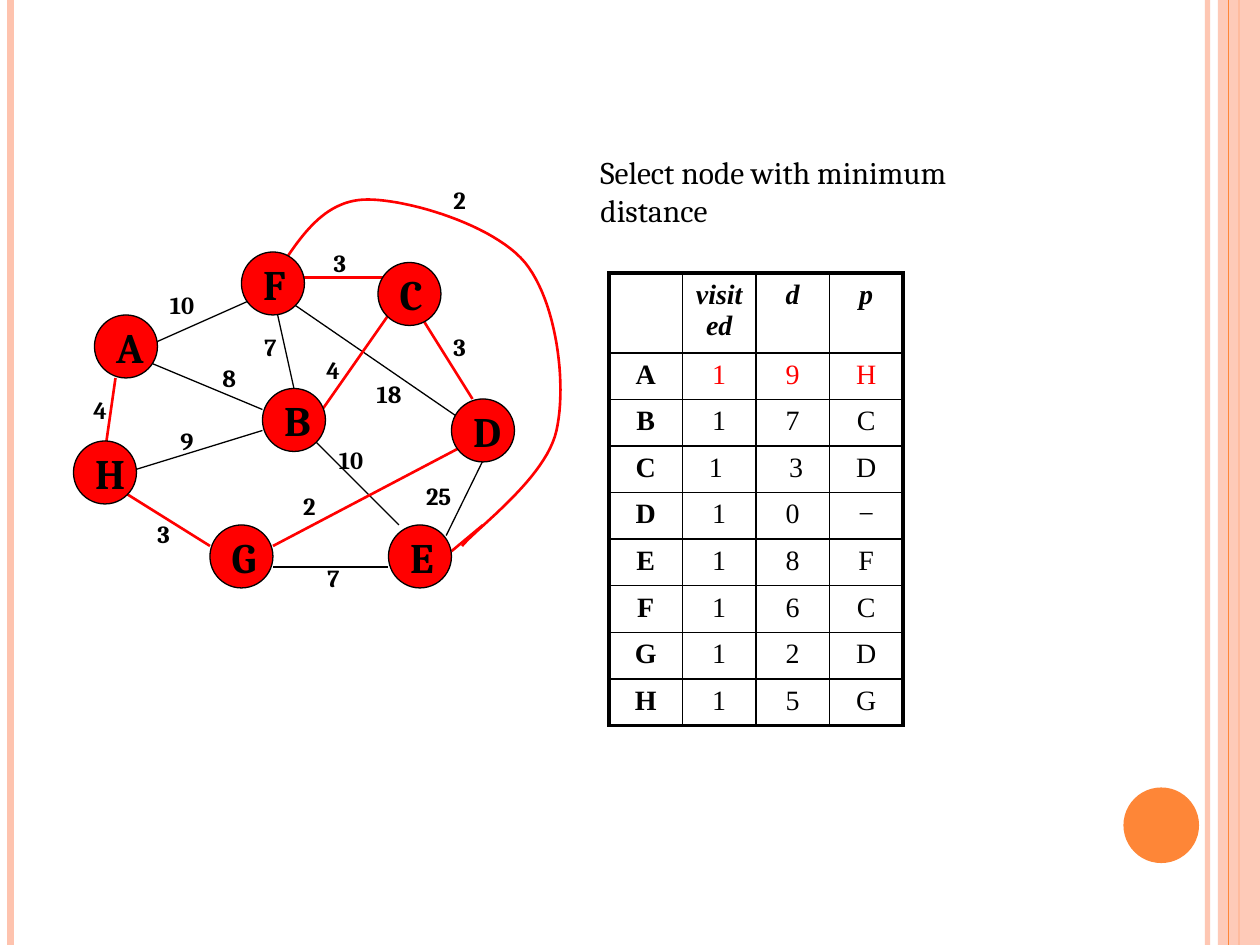
"""Build a slide showing a minimum spanning tree graph beside its table of distances."""
from lxml import etree
from pptx import Presentation
from pptx import util as u
from pptx.dml.color import RGBColor
from pptx.enum import shapes, text
from pptx.oxml import ns

BLACK = RGBColor(0x00, 0x00, 0x00)
RED = RGBColor(0xFF, 0x00, 0x00)
PEACH = RGBColor(0xFE, 0xC3, 0xAE)
ORANGE = RGBColor(0xFE, 0x86, 0x37)

GRID = u.Inches(1) // 12
WIDTH, HEIGHT = 120, 90
NODE_SIZE = 6
LABEL_HEIGHT = 4
THIN, THICK = 0.75, 1.5

HEADING = "Select node with minimum distance"
NODES = {
    "A": (9, 30), "H": (7, 42), "B": (25, 37), "F": (23, 24),
    "E": (37, 50), "D": (43, 38), "C": (36, 25), "G": (20, 50),
}
OTHER_EDGES = [
    ((47.4, 41), (42.5, 51)), ((26, 28), (28, 37)), ((44, 40), (28, 29)),
    ((12, 45), (25, 41)), ((13, 34), (25, 39)), ((30, 42), (38, 50)),
    ((37, 54), (26, 54)), ((14.6, 32.7), (23.6, 28.7)),
]
TREE_EDGES = [
    ((30, 40), (37, 30)), ((26, 52), (45, 42)), ((10, 43), (11, 36)),
    ((28.6, 26.4), (38, 26.4)), ((40, 30), (45, 38)), ((20, 52), (12, 47)),
    ((46, 50), (43, 52.5)),
]
TREE_CURVE = [
    ((27, 25), (29, 22), (31.2, 19), (35, 19)),
    ((35, 19), (38.9, 19), (47, 21.4), (50, 25)),
    ((50, 25), (53, 28.7), (54, 36.5), (53, 41)),
    ((53, 41), (52, 45.5), (45.5, 50.2), (44, 52)),
]
WEIGHTS = [
    ("4", 7.7, 37), ("25", 39.4, 45.2), ("7", 30, 53), ("2", 27.7, 46.2),
    ("10", 31.1, 41.8), ("18", 34.7, 35.5), ("3", 42, 31), ("4", 29.9, 33.2),
    ("3", 30.6, 23), ("7", 24, 31), ("8", 20, 34), ("9", 16, 40),
    ("3", 13.8, 48.8), ("10", 15, 27), ("2", 42, 17),
]
TABLE = [
    ("", "visited", "d", "p"),
    ("A", "1", "9", "H"),
    ("B", "1", "7", "C"),
    ("C", "1 ", " 3", "D"),
    ("D", "1", "0", "−"),
    ("E", "1", "8", "F"),
    ("F", "1", "6", "C"),
    ("G", "1", "2", "D"),
    ("H", "1", "5", "G"),
]
NEWEST_ROW = 1
SIDE_LINES = [(115, PEACH, 3, 93), (1, PEACH, 4.5, 100), (118, ORANGE, 1.5, 100)]


def grid(*values):
    return [round(value * GRID) for value in values]


def set_alpha(fill, percent):
    if percent < 100:
        color = fill._xPr.find(".//" + ns.qn("a:srgbClr"))
        etree.SubElement(color, ns.qn("a:alpha"), val=str(percent * 1000))


def add_line(slide, start, end, color, width, alpha=100):
    line = slide.shapes.add_connector(
        shapes.MSO_CONNECTOR.STRAIGHT, *grid(*start, *end))
    line.line.color.rgb = color
    line.line.width = u.Pt(width)
    set_alpha(line.line.fill, alpha)
    etree.SubElement(line._element.spPr, ns.qn("a:effectLst"))


def add_shape(slide, kind, box, fill, alpha=100):
    shape = slide.shapes.add_shape(kind, *grid(*box))
    shape.shadow.inherit = False
    shape.fill.solid()
    shape.fill.fore_color.rgb = fill
    set_alpha(shape.fill, alpha)
    shape.line.fill.background()
    return shape


def write(frame, words, size, name="Cambria", bold=False, italic=False,
          color=BLACK, align=text.PP_ALIGN.LEFT):
    paragraph = frame.paragraphs[0]
    paragraph.text = words
    paragraph.alignment = align
    font = paragraph.font
    font.size, font.name = u.Pt(size), name
    font.bold, font.italic = bold, italic
    font.color.rgb = color


def add_text(slide, words, box, size, bold=False):
    frame = slide.shapes.add_textbox(*grid(*box)).text_frame
    frame.word_wrap = True
    write(frame, words, size, bold=bold)


def add_decoration(slide):
    for x, color, width, alpha in SIDE_LINES:
        add_line(slide, (x, 0), (x, HEIGHT), color, width, alpha)
    rectangle, oval = shapes.MSO_SHAPE.RECTANGLE, shapes.MSO_SHAPE.OVAL
    add_shape(slide, rectangle, (116, 0, 4, HEIGHT), PEACH, 87)
    add_line(slide, (117, 0), (117, HEIGHT), ORANGE, THIN)
    add_shape(slide, oval, (107, 75, 7.2, 7.2), ORANGE)


def curve_points(segments, steps=24):
    for segment in segments:
        for step in range(steps + 1):
            t = step / steps
            shares = ((1 - t) ** 3, 3 * t * (1 - t) ** 2, 3 * t * t * (1 - t), t ** 3)
            yield tuple(grid(*(sum(share * value for share, value in zip(shares, axis))
                               for axis in zip(*segment))))


def add_graph(slide):
    start, *rest = curve_points(TREE_CURVE)
    builder = slide.shapes.build_freeform(*start)
    builder.add_line_segments(rest, close=False)
    curve = builder.convert_to_shape()
    curve.shadow.inherit = False
    curve.fill.background()
    curve.line.color.rgb = RED
    curve.line.width = u.Pt(THICK)
    for edges, color, width in ((OTHER_EDGES, BLACK, THIN), (TREE_EDGES, RED, THICK)):
        for start, end in edges:
            add_line(slide, start, end, color, width)
    for name, (x, y) in NODES.items():
        node = add_shape(slide, shapes.MSO_SHAPE.OVAL, (x, y, NODE_SIZE, NODE_SIZE), RED)
        node.line.color.rgb = BLACK
        node.line.width = u.Pt(THIN)
        node.text_frame.word_wrap = False
        node.text_frame.vertical_anchor = text.MSO_ANCHOR.MIDDLE
        write(node.text_frame, name, 24, bold=True)
    for weight, x, y in WEIGHTS:
        width = 4 if len(weight) == 1 else 6.2
        add_text(slide, weight, (x, y, width, LABEL_HEIGHT), 14, bold=True)


def set_borders(cell, outer_sides):
    properties = cell._tc.get_or_add_tcPr()
    for position, side in enumerate("LRTB"):
        width = 2.25 if side in outer_sides else 1
        border = etree.Element(ns.qn("a:ln" + side), w=str(u.Pt(width)))
        fill = etree.SubElement(border, ns.qn("a:solidFill"))
        etree.SubElement(fill, ns.qn("a:srgbClr"), val=str(BLACK))
        properties.insert(position, border)


def add_distances(slide):
    last_row, last_column = len(TABLE) - 1, len(TABLE[0]) - 1
    table = slide.shapes.add_table(
        len(TABLE), len(TABLE[0]), *grid(58, 26, 28, 43)).table
    table.first_row = table.horz_banding = False
    for column in table.columns:
        column.width = 7 * GRID
    for index, row in enumerate(table.rows):
        row.height = u.Inches(0.37 if index else 0.63)
    for r, values in enumerate(TABLE):
        for c, value in enumerate(values):
            cell = table.cell(r, c)
            cell.fill.background()
            edges = {"L": c == 0, "R": c == last_column, "T": r == 0, "B": r == last_row}
            set_borders(cell, [side for side, outer in edges.items() if outer])
            write(cell.text_frame, value, 16, "Times New Roman",
                  bold=r == 0 or c == 0, italic=r == 0,
                  color=RED if r == NEWEST_ROW and c > 0 else BLACK,
                  align=text.PP_ALIGN.CENTER)


def main():
    presentation = Presentation()
    presentation.slide_width, presentation.slide_height = grid(WIDTH, HEIGHT)
    slide = presentation.slides.add_slide(presentation.slide_layouts[6])
    add_decoration(slide)
    add_graph(slide)
    add_text(slide, HEADING, (56, 14, 38, 9.2), 18)
    add_distances(slide)
    presentation.save("out.pptx")


if __name__ == "__main__":
    main()
